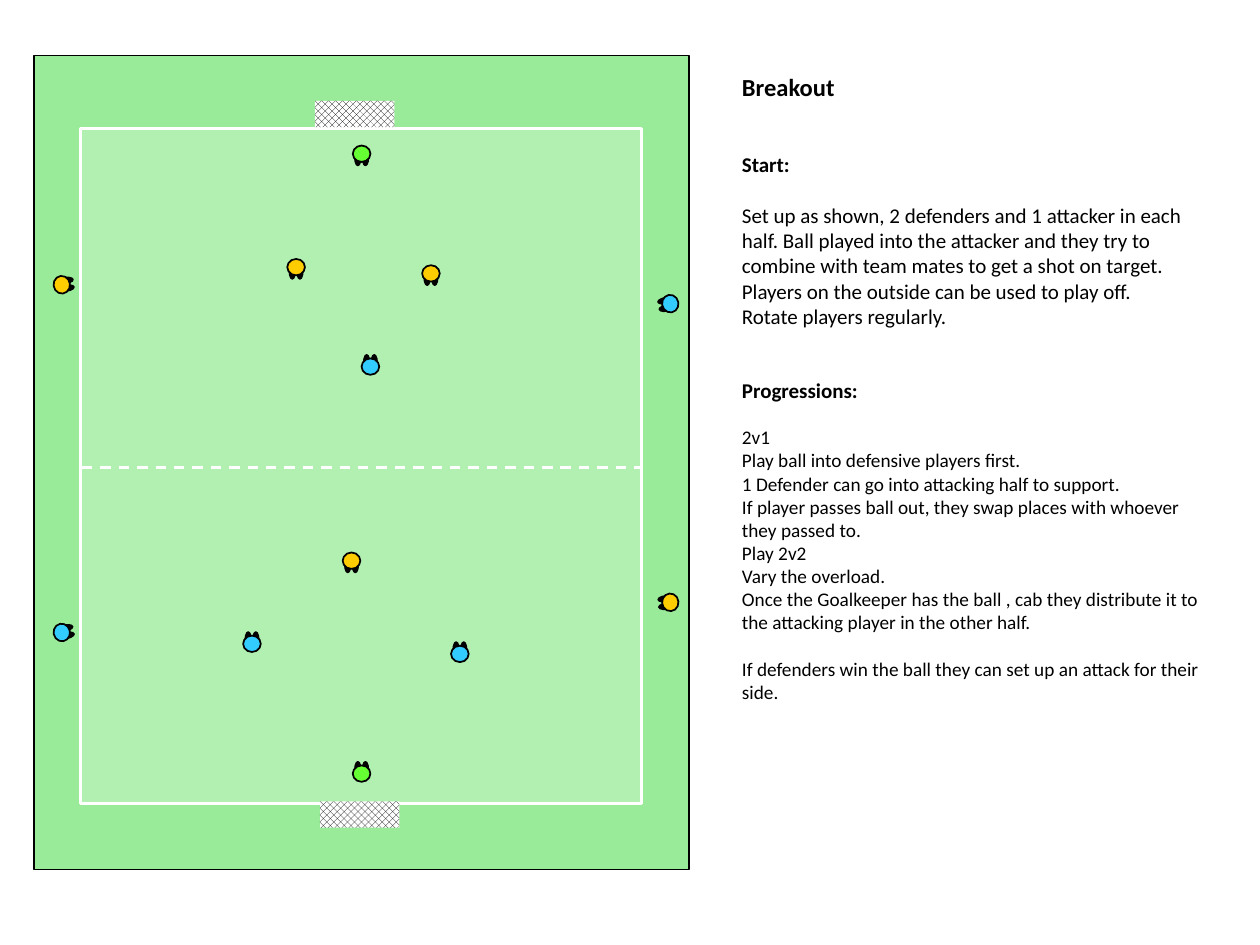
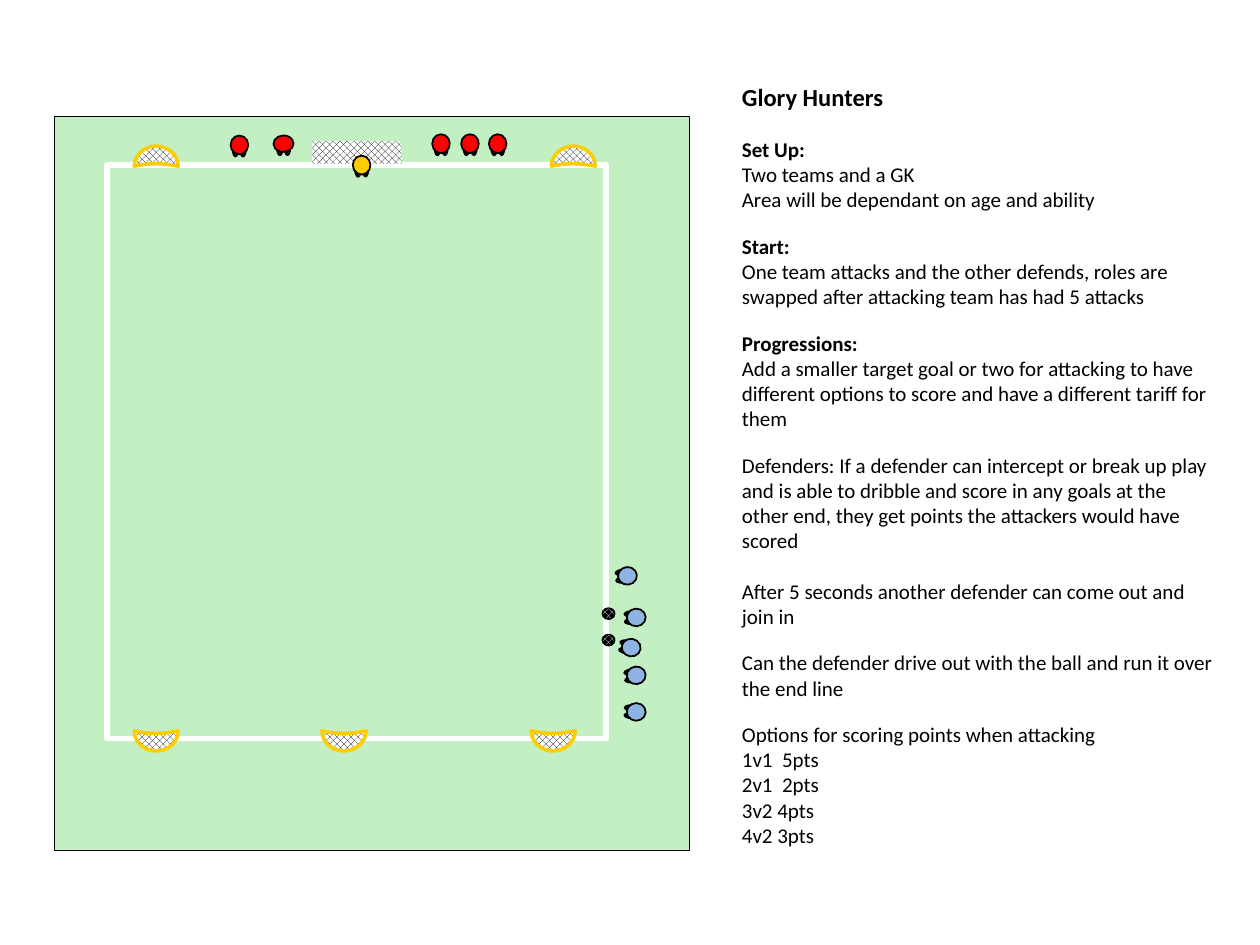
from dataclasses import dataclass
from math import cos, radians, sin

from lxml.etree import SubElement
from pptx import Presentation
from pptx.dml.color import RGBColor
from pptx.enum.dml import MSO_LINE_DASH_STYLE as Dash, MSO_PATTERN as Pat
from pptx.enum.shapes import MSO_CONNECTOR as Conn, MSO_SHAPE as Kind
from pptx.oxml.ns import qn
from pptx.util import Inches, Pt


@dataclass(frozen=True)
class Theme:
    font: str = "Calibri"
    title: int = 14
    body: int = 12
    small: int = 11
    tight: int = 10
    lead: float = 1.21
    black: str = "000000"
    white: str = "FFFFFF"
    rim: str = "99EB99"
    turf: str = "B2F0B2"
    lawn: str = "C2F0C2"
    gold: str = "FFCC00"
    lime: str = "66FF33"
    sky: str = "33CCFF"
    blue: str = "8EB4E3"
    red: str = "FF0000"


T = Theme()
FOOT = (0.05, 0.13)
STEP = 0.03


def color(code):
    return RGBColor.from_string(code)


def draw(slide, kind, box, fill=None, line=None, width=0.75, turn=0):
    shape = slide.shapes.add_shape(kind, *map(Inches, box))
    shape.shadow.inherit = False
    shape.rotation = turn
    if fill:
        shape.fill.solid()
        shape.fill.fore_color.rgb = color(fill)
    else:
        shape.fill.background()
    if line:
        shape.line.color.rgb = color(line)
        shape.line.width = Pt(width)
    else:
        shape.line.fill.background()
    return shape


def around(x, y, wide, high):
    return x - wide / 2, y - high / 2, wide, high


def inside(box, x, y, wide, high):
    return box[0] + x, box[1] + y, wide, high


def weave(shape, kind=Pat.OUTLINED_DIAMOND, fore=T.black, back=T.white):
    shape.fill.patterned()
    shape.fill.pattern = kind
    shape.fill.fore_color.rgb = color(fore)
    shape.fill.back_color.rgb = color(back)


def goal(slide, box):
    weave(draw(slide, Kind.RECTANGLE, box))


def target(slide, x, y, turn):
    moon = draw(slide, Kind.MOON, around(x, y, 0.16, 0.35), T.white, T.gold, 2, turn)
    moon.adjustments[0] = 0.875
    weave(moon)


def ball(slide, x, y):
    dot = draw(slide, Kind.OVAL, around(x, y, 0.1, 0.09), T.black, T.black)
    weave(dot, Pat.SOLID_DIAMOND, T.white, T.black)


def player(slide, x, y, fill, turn=0, size=(0.14, 0.13)):
    angle = radians(turn)
    for side in (-STEP, STEP):
        left = x + side * cos(angle) + STEP * sin(angle)
        top = y + side * sin(angle) - STEP * cos(angle)
        draw(slide, Kind.OVAL, around(left, top, *FOOT), T.black, T.black, turn=turn)
    draw(slide, Kind.OVAL, around(x, y, *size), fill, T.black, 1, turn)


def dashes(slide, x, y, wide):
    line = slide.shapes.add_connector(
        Conn.STRAIGHT, Inches(x), Inches(y), Inches(x + wide), Inches(y))
    line.line.color.rgb = color(T.white)
    line.line.width = Pt(1.5)
    line.line.dash_style = Dash.DASH
    SubElement(line._element.spPr, qn("a:effectLst"))


def write(frame, text, size=T.body, bold=False, gap=0):
    first = frame.paragraphs[0]
    para = frame.add_paragraph() if first.runs else first
    para.space_before = Pt(round(gap * T.lead, 1))
    run = para.add_run()
    run.text = text
    run.font.name = T.font
    run.font.size = Pt(size)
    run.font.bold = bold
    run.font.color.rgb = color(T.black)


def notes(slide, box, title, rows):
    frame = slide.shapes.add_textbox(*map(Inches, box)).text_frame
    frame.word_wrap = True
    write(frame, title, size=T.title, bold=True)
    for text, form in rows:
        write(frame, text, **form)


def halves(slide, box):
    x, y = box[:2]
    draw(slide, Kind.RECTANGLE, box, T.rim, T.black)
    draw(slide, Kind.RECTANGLE, inside(box, 0.37, 0.58, 4.45, 5.36), T.turf, T.white, 1.5)
    for left, top in ((2.23, 0.36), (2.27, 5.92)):
        goal(slide, inside(box, left, top, 0.63, 0.21))
    dashes(slide, x + 0.38, y + 3.27, 4.44)
    squad = (
        (T.lime, ((2.6, 5.7, 0), (2.6, 0.78, 180))),
        (T.sky, ((2.67, 2.47, 0), (0.22, 4.58, 79), (5.05, 1.97, 260),
                 (1.73, 4.67, 0), (3.38, 4.75, 0))),
        (T.gold, ((2.08, 1.68, 180), (2.52, 4.01, 180), (5.05, 4.34, 265),
                  (3.15, 1.73, 180), (0.22, 1.82, 83))),
    )
    for fill, spots in squad:
        for left, top, turn in spots:
            player(slide, x + left, y + top, fill, turn)


def hunt(slide, box):
    x, y = box[:2]
    draw(slide, Kind.RECTANGLE, box, T.lawn, T.black, 0.25)
    draw(slide, Kind.RECTANGLE, inside(box, 0.42, 0.39, 3.96, 4.55), None, T.white, 3)
    goal(slide, inside(box, 2.05, 0.2, 0.71, 0.18))
    tall = (0.14, 0.15)
    squad = (
        (T.red, (0.16, 0.13), ((1.82, 0.22, 179),)),
        (T.red, tall, ((1.47, 0.23, 181), (3.07, 0.22, 179),
                       (3.3, 0.22, 179), (3.52, 0.22, 179))),
        (T.blue, tall, ((4.55, 3.65, 265), (4.62, 3.98, 267), (4.58, 4.22, 279),
                        (4.62, 4.44, 264), (4.62, 4.73, 272))),
        (T.gold, tall, ((2.44, 0.39, 179),)),
    )
    for fill, size, spots in squad:
        for left, top, turn in spots:
            player(slide, x + left, y + top, fill, turn, size)
    for top in (3.95, 4.16):
        ball(slide, x + 4.4, y + top)
    for left in (0.81, 4.12):
        target(slide, x + left, y + 0.32, 90)
    for left in (0.81, 2.3, 3.96):
        target(slide, x + left, y + 4.96, 270)


def head(text, gap):
    return text, dict(bold=True, gap=gap)


def body(text, gap=0):
    return text, dict(gap=gap)


def small(text, gap=0):
    return text, dict(size=T.small, gap=gap)


BREAK = (
    head("Start:", 2 * T.body),
    body("Set up as shown, 2 defenders and 1 attacker in each half. Ball played into "
         "the attacker and they try to combine with team mates to get a shot on target.",
         T.body),
    body("Players on the outside can be used to play off."),
    body("Rotate players regularly."),
    head("Progressions:", T.small + T.body),
    small("2v1", T.small),
    small("Play ball into defensive players first."),
    small("1 Defender can go into attacking half to support."),
    small("If player passes ball out, they swap places with whoever they passed to."),
    small("Play 2v2"),
    small("Vary the overload."),
    small("Once the Goalkeeper has the ball , cab they distribute it to the attacking "
          "player in the other half."),
    small("If defenders win the ball they can set up an attack for their side.", T.small),
)

GLORY = (
    head("Set Up:", T.body),
    body("Two teams and a GK"),
    body("Area will be dependant on age and ability"),
    head("Start:", T.tight),
    body("One team attacks and the other defends, roles are swapped after attacking "
         "team has had 5 attacks"),
    head("Progressions:", T.tight),
    body("Add a smaller target goal or two for attacking to have different options to "
         "score and have a different tariff for them"),
    body("Defenders: If a defender can intercept or break up play and is able to dribble "
         "and score in any goals at the other end, they get points the attackers would "
         "have scored", T.tight),
    body("After 5 seconds another defender can come out and join in", T.body),
    body("Can the defender drive out with the ball and run it over the end line", T.tight),
    body("Options for scoring points when attacking", T.tight),
    body("1v1  5pts"),
    body("2v1  2pts"),
    body("3v2 4pts"),
    body("4v2 3pts"),
)


def main():
    deck = Presentation()
    deck.slide_width, deck.slide_height = Inches(10), Inches(7.5)
    pages = (
        (halves, (0.27, 0.44, 5.2, 6.46), "Breakout", (5.79, 0.52, 3.86, 6.26), BREAK),
        (hunt, (0.43, 0.92, 5.04, 5.83), "Glory Hunters", (5.79, 0.6, 3.94, 6.8), GLORY),
    )
    for pitch, field, title, side, rows in pages:
        slide = deck.slides.add_slide(deck.slide_layouts[6])
        pitch(slide, field)
        notes(slide, side, title, rows)
    deck.save("out.pptx")


if __name__ == "__main__":
    main()
